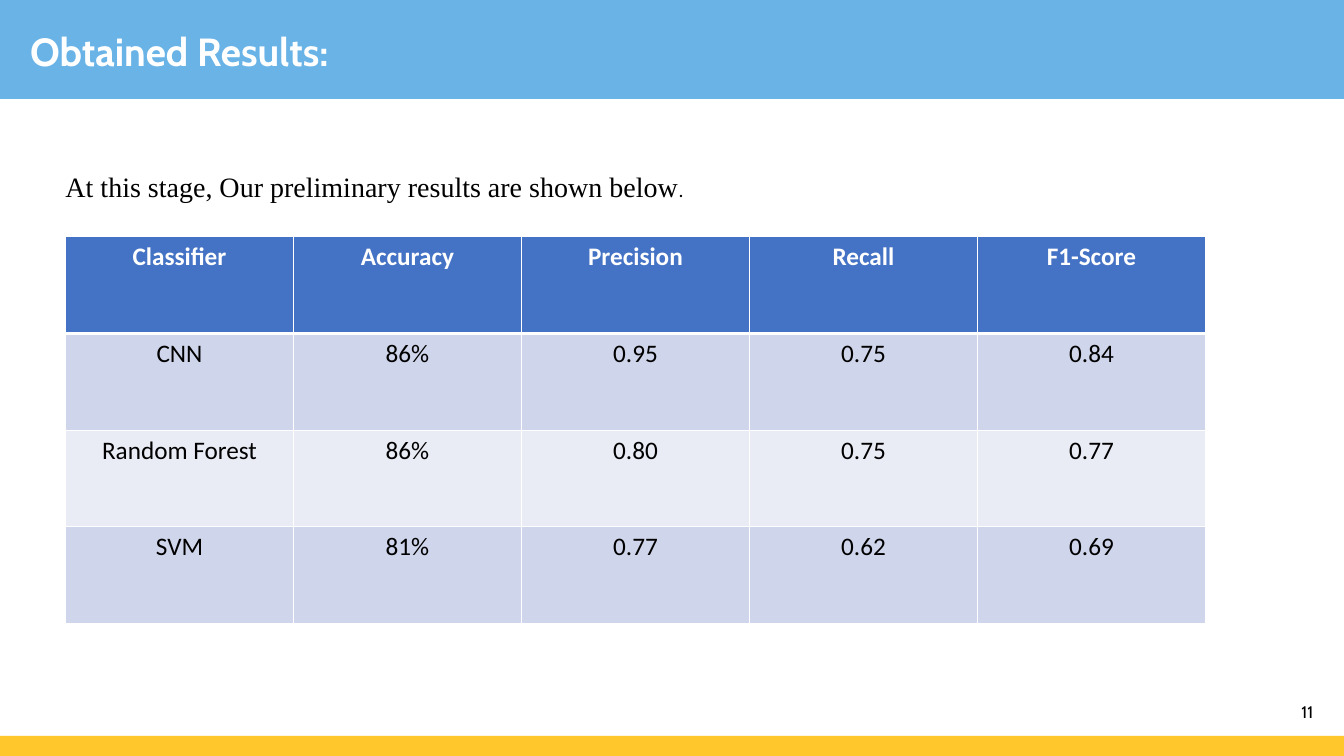
from lxml.etree import SubElement as Sub
from pptx import Presentation
from pptx.dml.color import RGBColor as RGB
from pptx.enum.shapes import MSO_SHAPE as Shape
from pptx.enum.text import MSO_ANCHOR as Anchor, MSO_AUTO_SIZE as Auto, PP_ALIGN as Align
from pptx.oxml.ns import qn
from pptx.util import Pt

WHITE = RGB(0xFF, 0xFF, 0xFF)
BLACK = RGB(0, 0, 0)
SKY = RGB(0x69, 0xB3, 0xE7)
GOLD = RGB(0xFF, 0xC7, 0x2C)
BLUE = RGB(0x44, 0x72, 0xC4)
MIST = RGB(0xCF, 0xD5, 0xEA)
PALE = RGB(0xE9, 0xEB, 0xF5)

WIDTH, HEIGHT = 960, 540
COL, ROW = 162.86, 69.07
SCORES = [
    ("Classifier", "Accuracy", "Precision", "Recall", "F1-Score"),
    ("CNN", "86%", "0.95", "0.75", "0.84"),
    ("Random Forest", "86%", "0.80", "0.75", "0.77"),
    ("SVM", "81%", "0.77", "0.62", "0.69"),
]


def style(font, name, size, color, bold=False):
    font.name, font.size, font.bold = name, Pt(size), bold
    font.color.rgb = color


def band(slide, top, height, color):
    bar = slide.shapes.add_shape(Shape.RECTANGLE, 0, Pt(top), Pt(WIDTH), Pt(height))
    bar.shadow.inherit = False
    bar.fill.solid()
    bar.fill.fore_color.rgb = color
    bar.line.fill.background()
    return bar


def setup(frame, anchor):
    frame.margin_left = frame.margin_right = frame.margin_top = frame.margin_bottom = 0
    frame.word_wrap = True
    frame.auto_size = Auto.NONE
    frame.vertical_anchor = anchor


def label(slide, box, anchor):
    frame = slide.shapes.add_textbox(*map(Pt, box)).text_frame
    setup(frame, anchor)
    return frame.paragraphs[0]


def head(slide, text, bar):
    title = slide.shapes.title
    bar.element.addnext(title.element)
    title.left, title.top, title.width, title.height = map(Pt, (21.6, 2.9, 828, 70.6))
    setup(title.text_frame, Anchor.MIDDLE)
    para = title.text_frame.paragraphs[0]
    para.text = text
    para.alignment = Align.LEFT
    para.line_spacing = Pt(30.2)
    style(para.runs[0].font, "Cabin", 28, WHITE, True)


def border(cell, side, width):
    line = Sub(cell._tc.get_or_add_tcPr(), qn(f"a:ln{side}"), w=str(Pt(width)))
    Sub(Sub(line, qn("a:solidFill")), qn("a:srgbClr"), val=str(WHITE))


def grid(slide, left, top, data):
    rows, cols = len(data), len(data[0])
    size = Pt(COL * cols), Pt(ROW * rows)
    table = slide.shapes.add_table(rows, cols, Pt(left), Pt(top), *size).table
    for col in table.columns:
        col.width = Pt(COL)
    for r, line in enumerate(data):
        table.rows[r].height = Pt(ROW)
        for c, text in enumerate(line):
            cell = table.cell(r, c)
            for side in "LRTB":
                thick = (r, side) in ((0, "B"), (1, "T"))
                border(cell, side, 3 if thick else 1)
            cell.fill.solid()
            cell.fill.fore_color.rgb = BLUE if r == 0 else MIST if r % 2 else PALE
            para = cell.text_frame.paragraphs[0]
            para.text = text
            para.alignment = Align.CENTER
            style(para.runs[0].font, "Calibri", 18, BLACK if r else WHITE, r == 0)


def main():
    deck = Presentation()
    deck.slide_width, deck.slide_height = Pt(WIDTH), Pt(HEIGHT)
    slide = deck.slides.add_slide(deck.slide_layouts[5])

    top = band(slide, 0, 70.7, SKY)
    band(slide, 525.6, 14.4, GOLD)
    head(slide, "Obtained Results:", top)

    page = label(slide, (787.7, 498.5, 150.5, 20), Anchor.MIDDLE)
    page.text = "11"
    page.alignment = Align.RIGHT
    page.line_spacing = Pt(14.4)
    style(page.runs[0].font, "Cabin", 12, BLACK)

    intro = label(slide, (46.8, 121, 892, 36), Anchor.TOP)
    intro.text = "At this stage, Our preliminary results are shown below"
    style(intro.runs[0].font, "Times New Roman", 20, BLACK)
    stop = intro.add_run()
    stop.text = "."
    style(stop.font, "Calibri", 14, BLACK)

    grid(slide, 46.8, 169.2, SCORES)
    deck.save("out.pptx")


if __name__ == "__main__":
    main()
